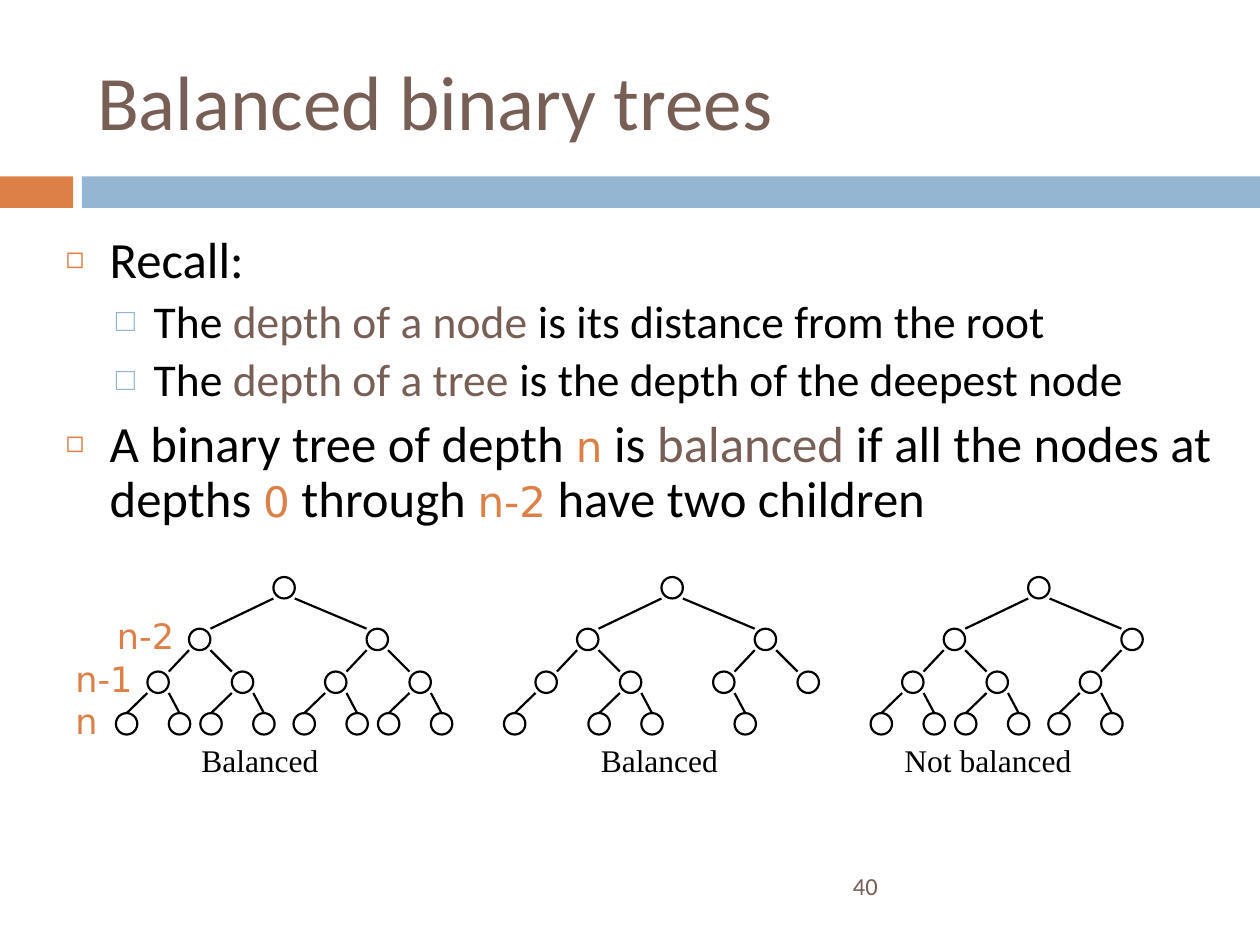
from lxml.etree import SubElement
from pptx import Presentation
from pptx.dml.color import RGBColor
from pptx.enum.shapes import MSO_CONNECTOR as Connector, MSO_SHAPE as Shape
from pptx.enum.text import MSO_ANCHOR as Anchor, MSO_AUTO_SIZE as AutoSize, PP_ALIGN as Align
from pptx.oxml.ns import qn
from pptx.util import Inches, Pt

BLACK, BROWN, ORANGE, BLUE = "000000", "775F55", "DD8047", "94B6D2"
SANS, MONO, SERIF = "Calibri", "DejaVu Sans", "Times New Roman"
NODE_SIZE = 0.17
ROW_TOPS = [4.58, 4.99, 5.33, 5.66]
CHILD_OFFSETS = [(-0.67, 0.74), (-0.33, 0.34), (-0.25, 0.17)]
TREES = [
    (2.17, set(), "Balanced", 1.5, 1.5),
    (5.25, {"LLR", "RLL", "RRL", "RRR"}, "Balanced", 4.67, 1.58),
    (8.16, {"RR"}, "Not balanced", 7.08, 2.08),
]
DEPTH_LABELS = [("n-2", 0.83, 4.83), ("n-1", 0.5, 5.17), ("n", 0.5, 5.5)]
LEVELS = [
    {"size": 29, "margin": 0.35, "indent": -0.35, "before": 7,
     "bullet": "◻", "color": ORANGE, "percent": 60},
    {"size": 26, "margin": 0.7, "indent": -0.3, "before": 5.5,
     "bullet": "□", "color": BLUE, "percent": 70},
]
BODY = [
    (0, [("Recall:", "plain")]),
    (1, [("The ", "plain"), ("depth of a node", "term"),
         (" is its distance from the root", "plain")]),
    (1, [("The ", "plain"), ("depth of a tree", "term"),
         (" is the depth of the deepest node", "plain")]),
    (0, [("A binary tree of depth ", "plain"), ("n", "symbol"), (" is ", "plain"),
         ("balanced", "term"), (" if all the nodes at depths ", "plain"),
         ("0", "symbol"), (" through ", "plain"), ("n-2", "symbol"),
         (" have two children", "plain")]),
]


def rgb(color):
    return RGBColor.from_string(color)


def apply_format(target, formats):
    for name, value in formats.items():
        setattr(target, name, value)


def place(shape, left, top, width, height):
    apply_format(shape, {"left": Inches(left), "top": Inches(top),
                         "width": Inches(width), "height": Inches(height)})


def add_run(paragraph, text, size, font, color):
    run = paragraph.add_run()
    run.text = text
    apply_format(run.font, {"size": Pt(size), "name": font})
    run.font.color.rgb = rgb(color)


def add_label(shapes, text, box, size, font, color, anchor=Anchor.TOP):
    label = shapes.add_textbox(*map(Inches, box))
    apply_format(label.text_frame, {"word_wrap": True, "vertical_anchor": anchor})
    add_run(label.text_frame.paragraphs[0], text, size, font, color)


def add_band(slide, left, width, color):
    band = slide.shapes.add_shape(Shape.RECTANGLE, *map(Inches, (left, 1.4, width, 0.25)))
    band.shadow.inherit = False
    band.fill.solid()
    band.fill.fore_color.rgb = rgb(color)
    band.line.fill.background()


def set_line(line):
    line.color.rgb = rgb(BLACK)
    line.width = Pt(1.25)


def add_node(shapes, left, top):
    node = shapes.add_shape(Shape.OVAL, *map(Inches, (left, top, NODE_SIZE, NODE_SIZE)))
    node.shadow.inherit = False
    node.fill.background()
    set_line(node.line)


def add_edge(shapes, start, end):
    edge = shapes.add_connector(Connector.STRAIGHT, *map(Inches, start + end))
    SubElement(edge._element.spPr, qn("a:effectLst"))
    set_line(edge.line)


def add_subtree(shapes, left, missing, branch=""):
    depth = len(branch)
    top = ROW_TOPS[depth]
    add_node(shapes, left, top)
    if depth == len(CHILD_OFFSETS):
        return
    for side, offset in zip("LR", CHILD_OFFSETS[depth]):
        if branch + side in missing:
            continue
        child_left = left + offset
        parent_x = left if side == "L" else left + NODE_SIZE
        if depth == 2:
            child_x = child_left + NODE_SIZE / 2
        else:
            child_x = child_left + NODE_SIZE if side == "L" else child_left
        add_edge(shapes, (child_x, ROW_TOPS[depth + 1]), (parent_x, top + NODE_SIZE))
        add_subtree(shapes, child_left, missing, branch + side)


def add_tree(slide, root_left, missing, caption, caption_left, caption_width):
    shapes = slide.shapes.add_group_shape().shapes
    add_label(shapes, caption, (caption_left, 5.83, caption_width, 0.5), 18, SERIF, BLACK)
    add_subtree(shapes, root_left, missing)


def add_depth_labels(slide):
    shapes = slide.shapes.add_group_shape().shapes
    for text, left, top in DEPTH_LABELS:
        add_label(shapes, text, (left, top, 0.75, 0.44), 20, MONO, ORANGE)


def set_bullet(paragraph, level):
    properties = paragraph._p.get_or_add_pPr()
    properties.set("marL", str(Inches(level["margin"])))
    properties.set("indent", str(Inches(level["indent"])))
    bullet_color = SubElement(properties, qn("a:buClr"))
    SubElement(bullet_color, qn("a:srgbClr"), val=level["color"])
    SubElement(properties, qn("a:buSzPct"), val=str(level["percent"] * 1000))
    SubElement(properties, qn("a:buChar"), char=level["bullet"])


def fill_title(title):
    place(title, 0.67, 0.25, 8.92, 1.08)
    apply_format(title.text_frame, {"auto_size": AutoSize.NONE, "word_wrap": True,
                                    "vertical_anchor": Anchor.MIDDLE})
    paragraph = title.text_frame.paragraphs[0]
    paragraph.alignment = Align.LEFT
    add_run(paragraph, "Balanced binary trees", 44, SANS, BROWN)


def fill_body(body):
    place(body, 0.42, 1.81, 9.38, 2.52)
    frame = body.text_frame
    apply_format(frame, {"auto_size": AutoSize.NONE, "word_wrap": True})
    for index, (depth, runs) in enumerate(BODY):
        level = LEVELS[depth]
        paragraph = frame.add_paragraph() if index else frame.paragraphs[0]
        apply_format(paragraph, {"level": depth, "line_spacing": 0.9,
                                 "space_before": Pt(level["before"] if index else 0)})
        set_bullet(paragraph, level)
        styles = {"plain": (level["size"], SANS, BLACK),
                  "term": (level["size"], SANS, BROWN),
                  "symbol": (24, MONO, ORANGE)}
        for text, style in runs:
            add_run(paragraph, text, *styles[style])


def main():
    presentation = Presentation()
    apply_format(presentation, {"slide_width": Inches(10), "slide_height": Inches(7.5)})
    slide = presentation.slides.add_slide(presentation.slide_layouts[1])
    add_band(slide, 0, 0.58, ORANGE)
    add_band(slide, 0.65, 9.35, BLUE)
    add_label(slide.shapes, "40", (6.67, 6.83, 2.92, 0.4), 14, SANS, BROWN, Anchor.MIDDLE)
    fill_title(slide.shapes.title)
    fill_body(slide.placeholders[1])
    for tree in TREES:
        add_tree(slide, *tree)
    add_depth_labels(slide)
    presentation.save("out.pptx")


if __name__ == "__main__":
    main()
